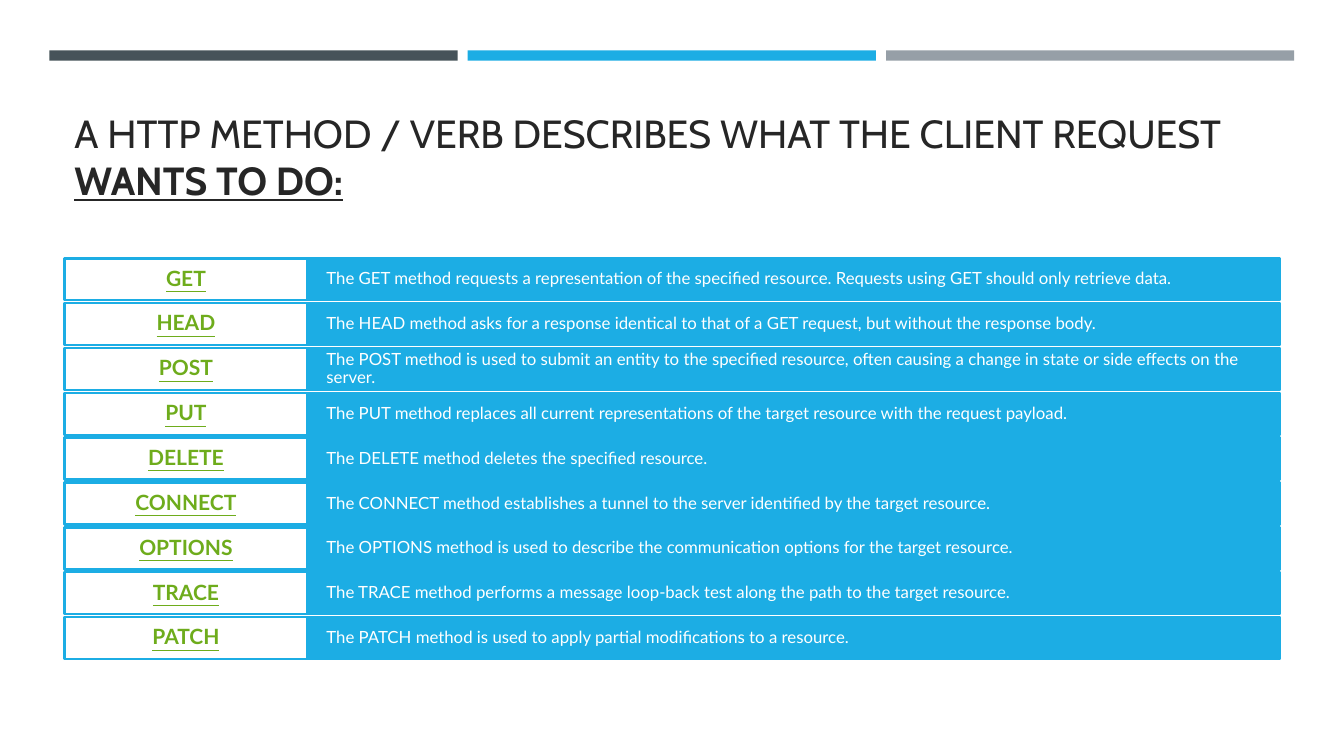
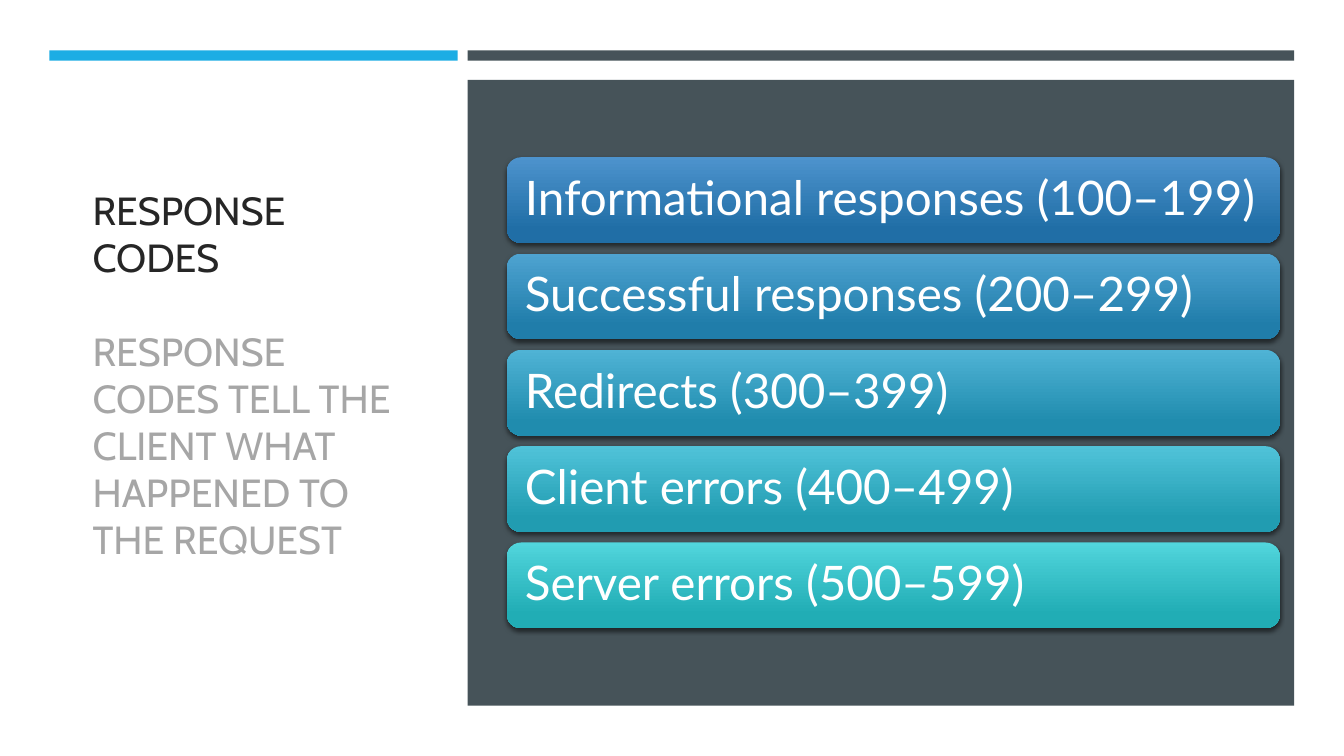
"""Build two slides on HTTP methods and response codes."""
from dataclasses import dataclass

from lxml import etree
from pptx import Presentation
from pptx.dml.color import RGBColor
from pptx.enum.shapes import MSO_SHAPE
from pptx.enum.text import MSO_ANCHOR, MSO_AUTO_SIZE, PP_ALIGN
from pptx.oxml.ns import qn
from pptx.util import Pt


@dataclass(frozen=True)
class Theme:
    heading_font: str = "Cabin"
    body_font: str = "Lato"
    ink: str = "262626"
    muted: str = "A6A6A6"
    white: str = "FFFFFF"
    black: str = "000000"
    slate: str = "465359"
    blue: str = "1CADE4"
    gray: str = "969FA7"
    green: str = "6EAC1C"
    title_size: float = 28
    title_gap: float = 33.6
    method_size: float = 15
    description_size: float = 12
    response_size: float = 34
    outline: float = 1.75


THEME = Theme()

METHODS_TITLE = [
    [
        ("A HTTP METHOD / VERB DESCRIBES WHAT THE CLIENT REQUEST ", THEME.ink, False),
        ("WANTS TO DO:", THEME.ink, True),
    ],
]
METHODS = [
    ("GET", "The GET method requests a representation of the specified resource. "
            "Requests using GET should only retrieve data."),
    ("HEAD", "The HEAD method asks for a response identical to that of a GET request, "
             "but without the response body."),
    ("POST", "The POST method is used to submit an entity to the specified resource, "
             "often causing a change in state or side effects on the server."),
    ("PUT", "The PUT method replaces all current representations of the target resource "
            "with the request payload."),
    ("DELETE", "The DELETE method deletes the specified resource."),
    ("CONNECT", "The CONNECT method establishes a tunnel to the server identified by "
                "the target resource."),
    ("OPTIONS", "The OPTIONS method is used to describe the communication options for "
                "the target resource."),
    ("TRACE", "The TRACE method performs a message loop-back test along the path to "
              "the target resource."),
    ("PATCH", "The PATCH method is used to apply partial modifications to a resource."),
]

RESPONSES_TITLE = [
    [("RESPONSE CODES", THEME.ink, False)],
    [("RESPONSE CODES TELL THE CLIENT WHAT HAPPENED TO THE REQUEST", THEME.muted, False)],
]
RESPONSES = [
    ("Informational responses (100–199)", "4D93CD", "206EA6"),
    ("Successful responses (200–299)", "4EA3D1", "207DAA"),
    ("Redirects (300–399)", "4FB3D5", "208CAE"),
    ("Client errors (400–499)", "50C3D9", "219CB1"),
    ("Server errors (500–599)", "51D5DC", "21ADB5"),
]

TITLE_ONLY = 5
BAND_LEFT, BAND_TOP, BAND_WIDTH, BAND_HEIGHT, BAND_GAP = 35.3, 36, 291.6, 7.4, 7.2


def color(value):
    return RGBColor.from_string(value)


def add_box(slide, kind, left, top, width, height, fill=None, line=None):
    box = slide.shapes.add_shape(kind, Pt(left), Pt(top), Pt(width), Pt(height))
    box.shadow.inherit = False
    if fill:
        box.fill.solid()
        box.fill.fore_color.rgb = color(fill)
    if line:
        box.line.color.rgb = color(line)
        box.line.width = Pt(THEME.outline)
    else:
        box.line.fill.background()
    return box


def add_span(para, text, font, size, tint, bold=False, underline=False):
    span = para.add_run()
    span.text = text
    span.font.name = font
    span.font.size = Pt(size)
    span.font.color.rgb = color(tint)
    span.font.bold = bold
    span.font.underline = underline


def fill_box(box, text, size, tint, insets, align=PP_ALIGN.LEFT, strong=False):
    frame = box.text_frame
    frame.word_wrap = True
    frame.vertical_anchor = MSO_ANCHOR.MIDDLE
    frame.margin_left = frame.margin_right = Pt(insets[0])
    frame.margin_top = frame.margin_bottom = Pt(insets[1])
    para = frame.paragraphs[0]
    para.alignment = align
    para.line_spacing = 0.9
    add_span(para, text, THEME.body_font, size, tint, strong, strong)


def set_title(slide, paragraphs, left, top, width, height, anchor):
    title = slide.shapes.title
    title.left, title.top, title.width, title.height = map(Pt, (left, top, width, height))
    frame = title.text_frame
    frame.word_wrap = True
    frame.auto_size = MSO_AUTO_SIZE.NONE
    frame.vertical_anchor = anchor
    for index, spans in enumerate(paragraphs):
        para = frame.add_paragraph() if index else frame.paragraphs[0]
        para.alignment = PP_ALIGN.LEFT
        if index:
            para.space_before = Pt(THEME.title_gap)
        for text, tint, strong in spans:
            add_span(para, text, THEME.heading_font, THEME.title_size, tint, strong, strong)


def add_bands(slide, bands):
    left = BAND_LEFT
    for fill, columns in bands:
        width = columns * BAND_WIDTH + (columns - 1) * BAND_GAP
        add_box(slide, MSO_SHAPE.RECTANGLE, left, BAND_TOP, width, BAND_HEIGHT, fill)
        left += width + BAND_GAP


def add_shadow(box):
    effects = box._element.spPr.find(qn("a:effectLst"))
    shadow = etree.SubElement(effects, qn("a:outerShdw"), blurRad=str(Pt(3)),
                              dist=str(Pt(2)), dir="5400000", rotWithShape="0")
    tint = etree.SubElement(shadow, qn("a:srgbClr"), val=THEME.black)
    etree.SubElement(tint, qn("a:alpha"), val="55000")


def build_methods(deck):
    slide = deck.slides.add_slide(deck.slide_layouts[TITLE_ONLY])
    add_bands(slide, [(THEME.slate, 1), (THEME.blue, 1), (THEME.gray, 1)])
    set_title(slide, METHODS_TITLE, 46, 55.4, 868.3, 93.6, MSO_ANCHOR.BOTTOM)
    left, first_top, pitch, height = 46, 184.5, 32.04, 30
    method_width, description_width = 173.7, 694.6
    for row, (method, description) in enumerate(METHODS):
        top = first_top + row * pitch
        detail = add_box(slide, MSO_SHAPE.RECTANGLE, left + method_width, top,
                         description_width, height, THEME.blue, THEME.blue)
        fill_box(detail, description, THEME.description_size, THEME.white, (13.5, 7.6))
        label = add_box(slide, MSO_SHAPE.RECTANGLE, left, top,
                        method_width, height, THEME.white, THEME.blue)
        fill_box(label, method, THEME.method_size, THEME.green, (9.2, 3),
                 PP_ALIGN.CENTER, strong=True)


def build_responses(deck):
    slide = deck.slides.add_slide(deck.slide_layouts[TITLE_ONLY])
    set_title(slide, RESPONSES_TITLE, 59, 82, 240.5, 371, MSO_ANCHOR.MIDDLE)
    add_bands(slide, [(THEME.blue, 1), (THEME.slate, 2)])
    panel_left = BAND_LEFT + BAND_WIDTH + BAND_GAP
    panel_width = 2 * BAND_WIDTH + BAND_GAP
    add_box(slide, MSO_SHAPE.RECTANGLE, panel_left, 57, panel_width, 447, THEME.slate)
    left, first_top, pitch, width, height = 362, 112.3, 68.8, 552.3, 61.2
    for row, (response, light, dark) in enumerate(RESPONSES):
        bar = add_box(slide, MSO_SHAPE.ROUNDED_RECTANGLE, left,
                      first_top + row * pitch, width, height)
        bar.fill.gradient()
        bar.fill.gradient_angle = 270
        for stop, tint, position in zip(bar.fill.gradient_stops, (light, dark), (0, 0.84)):
            stop.color.rgb = color(tint)
            stop.position = position
        add_shadow(bar)
        fill_box(bar, response, THEME.response_size, THEME.white, (10, 7))


def main():
    deck = Presentation()
    deck.slide_width, deck.slide_height = Pt(960), Pt(540)
    build_methods(deck)
    build_responses(deck)
    deck.save("out.pptx")


if __name__ == "__main__":
    main()
